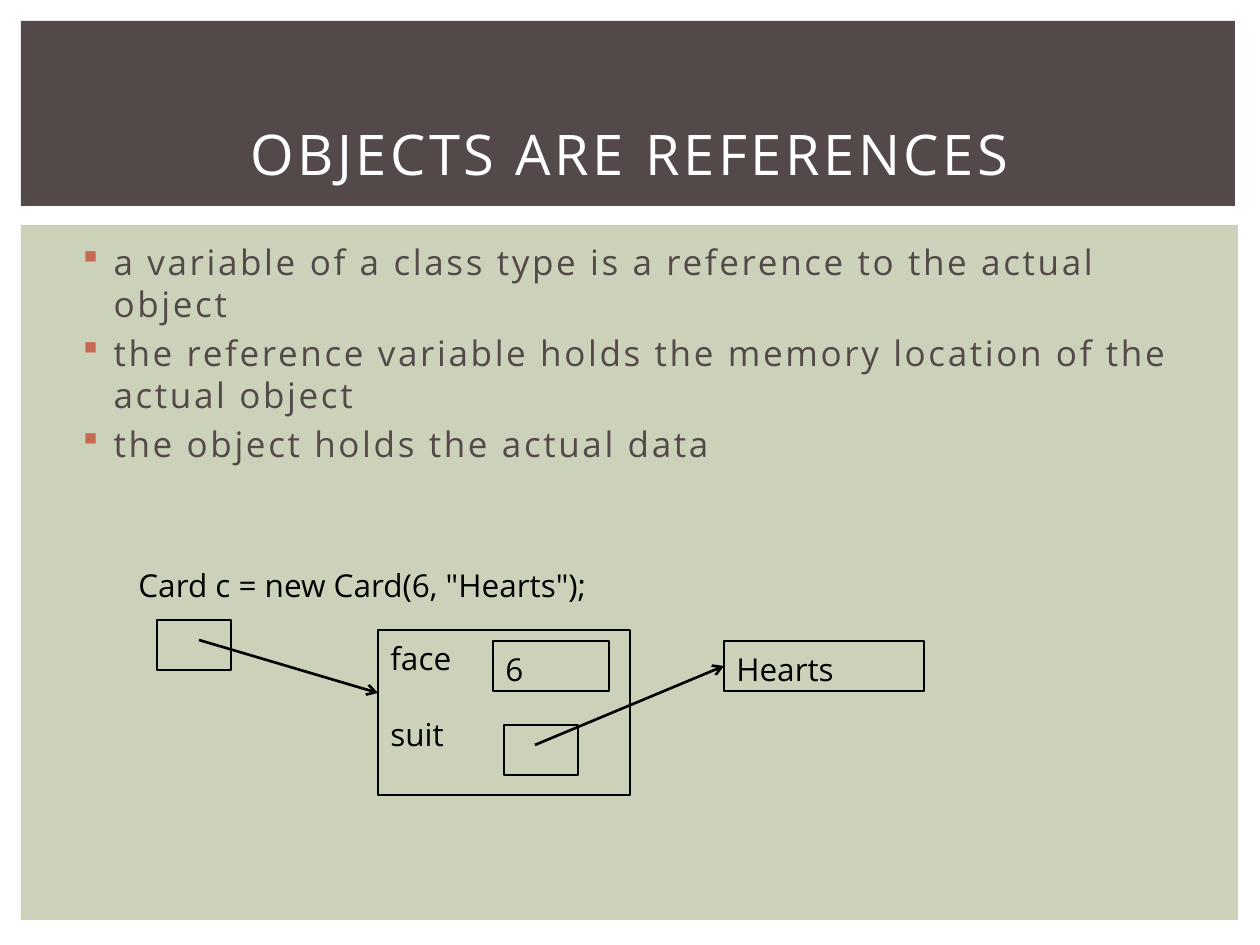
from dataclasses import dataclass

from lxml.etree import SubElement
from pptx import Presentation
from pptx.dml.color import RGBColor
from pptx.enum.shapes import MSO_CONNECTOR as Connector, MSO_SHAPE as Shape
from pptx.enum.text import MSO_ANCHOR as Anchor, MSO_AUTO_SIZE as AutoSize, PP_ALIGN as Align
from pptx.oxml.ns import qn
from pptx.util import Pt

PX = 914400 // 126


@dataclass(frozen=True)
class Theme:
    """Colours, font and type sizes of the slide."""
    panel: str = "CCD1B9"
    band: str = "534949"
    accent: str = "C66951"
    ink: str = "000000"
    light: str = "FFFFFF"
    font: str = "Open Sans"
    title: int = 32
    body: int = 20
    label: int = 18
    line: float = 1.5
    leading: float = 1.2


theme = Theme()


def write(shape, lines, size, color, spacing=0, **para_format):
    """Fill a shape with one styled paragraph per line."""
    frame = shape.text_frame
    frame.text = "\n".join(lines)
    frame_format = {"word_wrap": True, "auto_size": AutoSize.NONE,
                    "vertical_anchor": Anchor.TOP, "margin_top": 9 * PX}
    for name, value in frame_format.items():
        setattr(frame, name, value)
    for para in frame.paragraphs:
        for name, value in para_format.items():
            setattr(para, name, value)
        span = para.runs[0]
        for name, value in {"name": theme.font, "size": Pt(size), "bold": False}.items():
            setattr(span.font, name, value)
        span.font.color.rgb = RGBColor.from_string(color)
        if spacing:
            span.font._element.set("spc", str(int(spacing * 100)))


def add_box(area, fill=None):
    """Add a rectangle: filled without outline, or outlined without fill."""
    box = page.shapes.add_shape(Shape.RECTANGLE, *(n * PX for n in area))
    box.shadow.inherit = False
    if fill:
        box.fill.solid()
        box.fill.fore_color.rgb = RGBColor.from_string(fill)
        box.line.fill.background()
    else:
        box.fill.background()
        box.line.color.rgb = RGBColor.from_string(theme.ink)
        box.line.width = Pt(theme.line)
    return box


deck = Presentation()
deck.slide_width, deck.slide_height = 1260 * PX, 945 * PX
page = deck.slides.add_slide(deck.slide_layouts[1])
title, body = page.placeholders
label_format = {"alignment": Align.LEFT, "line_spacing": Pt(theme.label * theme.leading)}

# Background bands and the card object
add_box((21, 225, 1217, 695), theme.panel)
add_box((21, 21, 1214, 185), theme.band)
card = add_box((378, 630, 252, 165))
write(card, ["face", "suit"], theme.label, theme.ink, **label_format)
card.text_frame.paragraphs[1].space_before = Pt(theme.label * theme.leading)

# Title and bullet list
for holder, area in ((title, (63, 97, 1134, 113)), (body, (63, 231, 1134, 315))):
    for name, value in zip(("left", "top", "width", "height"), area):
        setattr(holder, name, value * PX)
    page.shapes._spTree.append(holder._element)

write(title, ["OBJECTS ARE REFERENCES"], theme.title, theme.light, 2, alignment=Align.CENTER)
title.text_frame.vertical_anchor = Anchor.MIDDLE
title.text_frame.margin_top = title.text_frame.margin_bottom

write(body, ["a variable of a class type is a reference to the actual object",
             "the reference variable holds the memory location of the actual object",
             "the object holds the actual data"],
      theme.body, theme.band, 1.5, alignment=Align.LEFT, space_before=Pt(4),
      line_spacing=Pt(theme.body * theme.leading))
for para in body.text_frame.paragraphs:
    props = para._p.get_or_add_pPr()
    props.set("marL", str(38 * PX))
    props.set("indent", str(-31 * PX))
    SubElement(SubElement(props, qn("a:buClr")), qn("a:srgbClr"), val=theme.accent)
    SubElement(props, qn("a:buFont"), typeface="Wingdings")
    SubElement(props, qn("a:buChar"), char="§")

# Code line and memory boxes
code = page.shapes.add_textbox(*(n * PX for n in (126, 557, 966, 50)))
write(code, ['Card c = new Card(6, "Hearts");'], theme.label, theme.ink, **label_format)

memory_boxes = [
    ((157, 620, 74, 50), None),
    ((493, 641, 116, 50), "6"),
    ((504, 725, 74, 50), None),
    ((724, 641, 200, 50), "Hearts"),
]
for area, value in memory_boxes:
    box = add_box(area)
    if value:
        write(box, [value], theme.label, theme.ink, **label_format)

# Reference arrows
for ends in ((199, 640, 378, 693), (535, 745, 724, 666)):
    arrow = page.shapes.add_connector(Connector.STRAIGHT, *(n * PX for n in ends))
    arrow.line.color.rgb = RGBColor.from_string(theme.ink)
    arrow.line.width = Pt(theme.line)
    SubElement(arrow.line._get_or_add_ln(), qn("a:tailEnd"), type="arrow")
    SubElement(arrow._element.spPr, qn("a:effectLst"))

deck.save("out.pptx")
